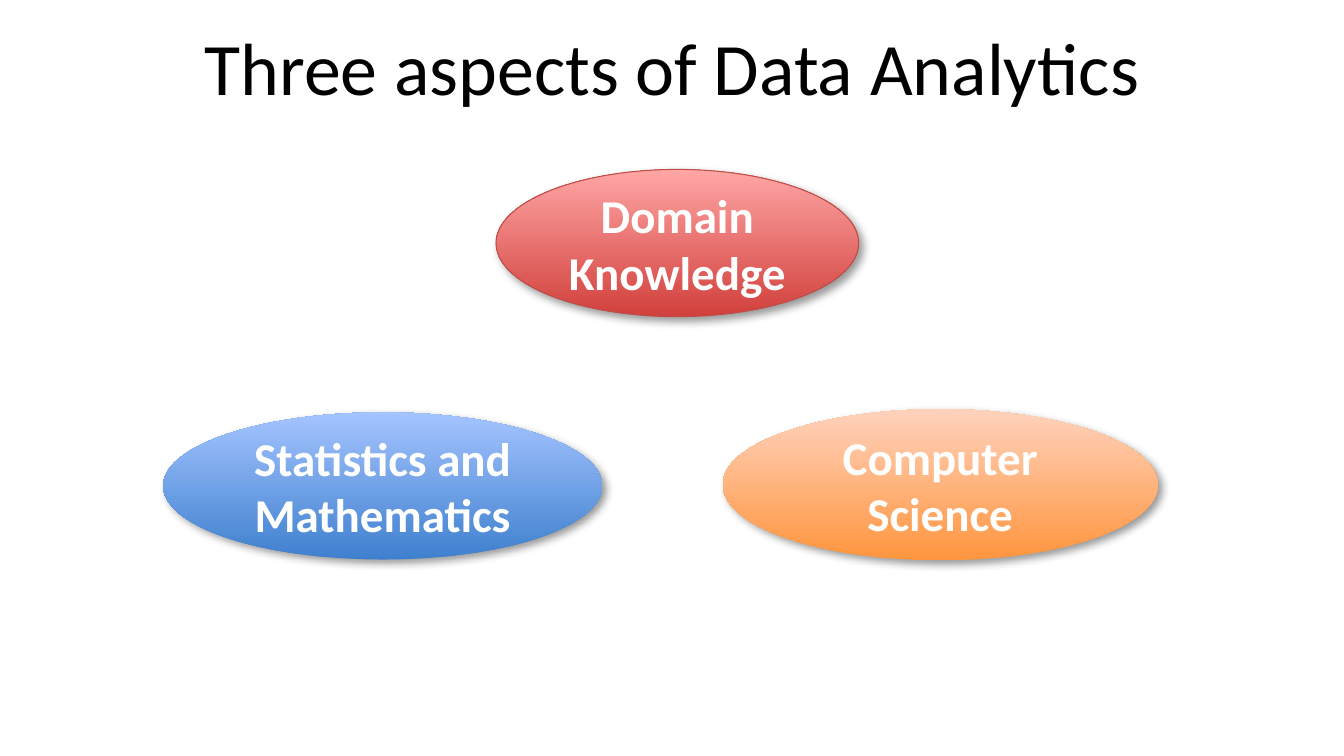
from lxml import etree
from pptx import Presentation
from pptx.dml.color import RGBColor
from pptx.enum import shapes, text
from pptx.oxml import ns
from pptx.util import Cm, Pt

BLACK = RGBColor(0x00, 0x00, 0x00)
WHITE = RGBColor(0xFF, 0xFF, 0xFF)
RED, PINK = RGBColor(0xD1, 0x40, 0x3C), RGBColor(0xFF, 0xA6, 0xA5)
BLUE, SKY = RGBColor(0x3F, 0x80, 0xCE), RGBColor(0xA4, 0xC4, 0xFF)
ORANGE, PEACH = RGBColor(0xFF, 0x95, 0x3E), RGBColor(0xFF, 0xD2, 0xBD)
RIM = RGBColor(0xBF, 0x4C, 0x48)


def write(frame, words, size, color, bold):
    """Put one centred line of words in a text frame."""
    frame.text = words
    frame.word_wrap = True
    frame.vertical_anchor = text.MSO_ANCHOR.MIDDLE
    para = frame.paragraphs[0]
    para.alignment = text.PP_ALIGN.CENTER
    font = para.runs[0].font
    font.name, font.size, font.bold = "Calibri", Pt(size), bold
    font.color.rgb = color


def shade(shape):
    """Cast a soft shadow to the lower right."""
    shape.shadow.inherit = False
    effects = shape._element.spPr.find(ns.qn("a:effectLst"))
    outer = etree.SubElement(effects, ns.qn("a:outerShdw"), blurRad=str(Pt(6)),
                             dist=str(Pt(4)), dir="2700000", rotWithShape="0")
    tint = etree.SubElement(outer, ns.qn("a:srgbClr"), val="000000")
    etree.SubElement(tint, ns.qn("a:alpha"), val="40000")


deck = Presentation()
deck.slide_width, deck.slide_height = Cm(33.87), Cm(19.05)
slide = deck.slides.add_slide(deck.slide_layouts[5])

# Title
title = slide.shapes.title
title.left, title.top = Cm(0), Cm(0.05)
title.width, title.height = Cm(33.87), Cm(3.23)
write(title.text_frame, "Three aspects of Data Analytics", 52.8, BLACK, False)

# Aspects: words, left, top, width, height, low colour, high colour, outline
aspects = [
    ("Domain Knowledge", 12.5, 4.27, 9.14, 3.71, RED, PINK, RIM),
    ("Statistics and Mathematics", 4.11, 10.39, 11.07, 3.71, BLUE, SKY, None),
    ("Computer Science", 18.21, 10.31, 10.97, 3.81, ORANGE, PEACH, None),
]
for words, left, top, width, height, low, high, rim in aspects:
    oval = slide.shapes.add_shape(shapes.MSO_SHAPE.OVAL, Cm(left), Cm(top),
                                  Cm(width), Cm(height))
    oval.fill.gradient()
    oval.fill.gradient_angle = 90
    for stop, color in zip(oval.fill.gradient_stops, (low, high)):
        stop.color.rgb = color
    if rim:
        oval.line.color.rgb = rim
        oval.line.width = Pt(0.75)
    else:
        oval.line.fill.background()
    shade(oval)
    write(oval.text_frame, words, 33.6, WHITE, True)

deck.save("out.pptx")
